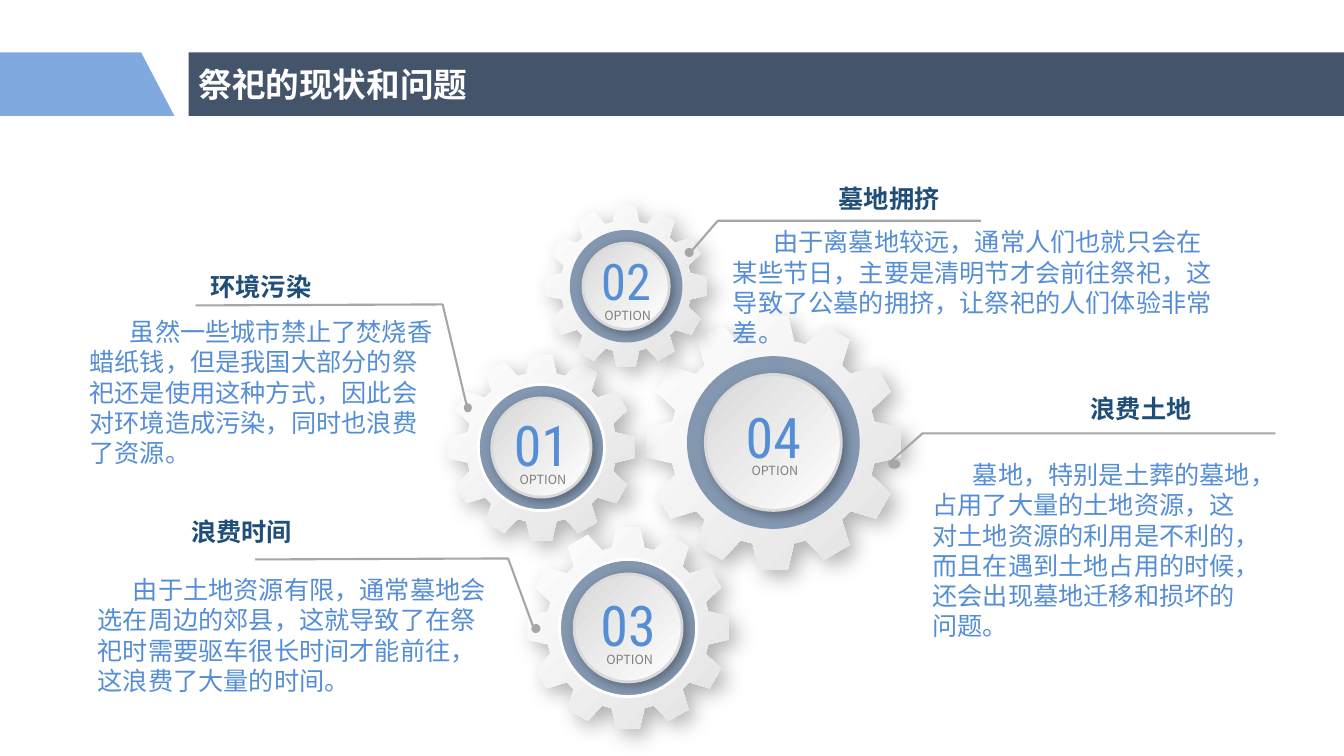
"""Build the slide on the state and problems of ancestor worship: four gears with callouts."""
import math
from dataclasses import dataclass

import lxml.etree
import pptx
import pptx.dml.color
import pptx.enum.shapes
import pptx.enum.text
import pptx.oxml.ns
import pptx.shapes.autoshape
import pptx.shapes.shapetree
import pptx.util

Inches, Pt, qn = pptx.util.Inches, pptx.util.Pt, pptx.oxml.ns.qn
RGB = pptx.dml.color.RGBColor.from_string
MSO, ALIGN = pptx.enum.shapes.MSO_SHAPE, pptx.enum.text.PP_ALIGN
Shape = pptx.shapes.autoshape.Shape
Shapes = pptx.shapes.shapetree._BaseGroupShapes
Point = tuple[float, float]
Box = tuple[float, float, float, float]


@dataclass(frozen=True)
class Theme:
    """Colours, fonts and type sizes."""
    white: str = "FFFFFF"
    gear_shade: str = "E2E2E2"
    rim: str = "D9D9D9"
    ring: str = "8497B0"
    leader: str = "A6A6A6"
    accent: str = "538CD5"
    body: str = "558ED5"
    heading: str = "1F4E79"
    option: str = "7F7F7F"
    bar: str = "44546A"
    font: str = "Noto Sans CJK SC"
    number_font: str = "Roboto Condensed"
    title_pt: int = 24
    text_pt: int = 18
    option_pt: int = 9


@dataclass(frozen=True)
class Gear:
    """A numbered gear wheel."""
    number: str
    center: Point
    radius: float
    number_top: float
    option_top: float
    ring_line: str | None
    number_pt: int = 40


@dataclass(frozen=True)
class Callout:
    """A heading and paragraph led to a gear by a bent line."""
    heading: str
    heading_box: Box
    text: str
    text_box: Box
    dot: Box
    leader: tuple[Point, ...]
    indent: float = 0.4


T = Theme()

GEARS = [
    Gear("04", (7.67, 4.39), 1.26, 3.94, 4.47, None),
    Gear("01", (5.37, 4.44), 0.92, 4.02, 4.56, T.white),
    Gear("02", (6.21, 2.84), 0.8, 2.43, 2.93, T.ring, 36),
    Gear("03", (6.23, 6.23), 1, 5.81, 6.34, T.white),
]

CALLOUTS = [
    Callout("墓地拥挤", (8.22, 1.77, 1.43, 0.71),
            "由于离墓地较远，通常人们也就只会在某些节日，主要是清明节才会前往祭祀，这导致了公墓的拥挤，让祭祀的人们体验非常差。",
            (7.17, 2.2, 4.95, 1.31), (6.79, 2.46, 0.09, 0.09),
            ((6.86, 2.49), (7.12, 2.19), (9.73, 2.19))),
    Callout("浪费土地", (10.72, 3.85, 1.4, 0.4),
            "墓地，特别是土葬的墓地，占用了大量的土地资源，这对土地资源的利用是不利的，而且在遇到土地占用的时候，还会出现墓地迁移和损坏的问题。",
            (9.15, 4.51, 3.39, 1.92), (8.81, 4.56, 0.12, 0.09),
            ((8.81, 4.6), (9.15, 4.3), (12.65, 4.3))),
    Callout("环境污染", (1.99, 2.64, 2.46, 0.4),
            "虽然一些城市禁止了焚烧香蜡纸钱，但是我国大部分的祭祀还是使用这种方式，因此会对环境造成污染，同时也浪费了资源。",
            (0.79, 3.09, 3.67, 1.61), (4.6, 4, 0.08, 0.09),
            ((4.63, 4.03), (4.39, 3.02), (1.94, 3.03))),
    Callout("浪费时间", (1.8, 5.07, 2.47, 0.4),
            "由于土地资源有限，通常墓地会选在周边的郊县，这就导致了在祭祀时需要驱车很长时间才能前往，这浪费了大量的时间。",
            (0.87, 5.65, 4.16, 1.61), (5.27, 6.19, 0.09, 0.09),
            ((5.29, 6.22), (5.04, 5.54), (2.53, 5.55)), 0.35),
]


def style(sp: Shape, fill: str | tuple[str, str] | None, line: str | None = None,
          width: float = 2, shadow: tuple[float, float] | None = None) -> None:
    """Set a solid, gradient or empty fill, the outline and a (blur, distance) shadow."""
    if fill is None:
        sp.fill.background()
    elif isinstance(fill, str):
        sp.fill.solid()
        sp.fill.fore_color.rgb = RGB(fill)
    else:
        sp.fill.gradient()
        sp.fill.gradient_angle = 315
        for stop, color in zip(sp.fill.gradient_stops, fill):
            stop.color.rgb = RGB(color)
    if line:
        sp.line.color.rgb = RGB(line)
        sp.line.width = Pt(width)
    else:
        sp.line.fill.background()
    sp.shadow.inherit = False
    if shadow:
        effects = sp._element.spPr.find(qn("a:effectLst"))
        outer = lxml.etree.SubElement(effects, qn("a:outerShdw"), blurRad=str(Pt(shadow[0])),
                                      dist=str(Pt(shadow[1])), dir="2700000", algn="tl", rotWithShape="0")
        color = lxml.etree.SubElement(outer, qn("a:srgbClr"), val="000000")
        lxml.etree.SubElement(color, qn("a:alpha"), val="30000")


def add_shape(shapes: Shapes, kind: MSO, box: Box) -> Shape:
    """Add a preset shape at a box in inches."""
    return shapes.add_shape(kind, *map(Inches, box))


def add_outline(shapes: Shapes, points: list[Point], close: bool) -> Shape:
    """Add a freeform through points in inches."""
    start, *rest = [(Inches(x), Inches(y)) for x, y in points]
    fb = shapes.build_freeform(*start, scale=1.0)
    fb.add_line_segments(rest, close=close)
    return fb.convert_to_shape()


def set_text(sp: Shape, text: str, size: int, color: str, bold: bool = False,
             font: str = T.font, align: ALIGN = ALIGN.LEFT) -> None:
    """Write one formatted paragraph into a shape."""
    tf = sp.text_frame
    tf.text = text
    tf.word_wrap = True
    p = tf.paragraphs[0]
    p.alignment = align
    r = p.runs[0]
    r.font.size, r.font.bold, r.font.name = Pt(size), bold, font
    r.font.color.rgb = RGB(color)
    lxml.etree.SubElement(r._r.get_or_add_rPr(), qn("a:ea"), typeface=font)


def add_text(shapes: Shapes, box: Box, text: str, size: int, color: str, bold: bool = False,
             font: str = T.font, align: ALIGN = ALIGN.LEFT) -> Shape:
    """Add a text box that grows with its text."""
    sp = shapes.add_textbox(*map(Inches, box))
    set_text(sp, text, size, color, bold, font, align)
    sp.text_frame.auto_size = pptx.enum.text.MSO_AUTO_SIZE.SHAPE_TO_FIT_TEXT
    return sp


def gear_points(center: Point, radius: float, teeth: int = 12) -> list[Point]:
    """Turn one tooth profile around the center."""
    profile = ((-0.163, 0.795), (-0.115, 1), (0.115, 1), (0.163, 0.795))
    points = []
    for i in range(teeth):
        a = math.tau * i / teeth
        for x, y in profile:
            points.append((center[0] + radius * (x * math.cos(a) + y * math.sin(a)),
                           center[1] + radius * (x * math.sin(a) - y * math.cos(a))))
    return points


def draw_gear(shapes: Shapes, gear: Gear) -> None:
    """Draw a gear with its ring, disc, number and caption."""
    x, y = gear.center

    def add_circle(d: float) -> Shape:
        return add_shape(shapes, MSO.OVAL, (x - d / 2, y - d / 2, d, d))

    style(add_outline(shapes, gear_points(gear.center, gear.radius), True),
          (T.white, T.gear_shade), shadow=(15, 7))
    style(add_circle(1.36 * gear.radius), T.ring, gear.ring_line)
    style(add_circle(1.07 * gear.radius), (T.rim, T.white), T.rim, shadow=(7, 3))
    add_text(shapes, (x - 0.55, gear.number_top, 1.1, 0.77), gear.number, gear.number_pt,
             T.body, font=T.number_font, align=ALIGN.CENTER)
    sp = add_text(shapes, (x - 0.39, gear.option_top, 0.81, 0.31), "OPTION", T.option_pt,
                  T.option, align=ALIGN.CENTER)
    sp.text_frame.paragraphs[0].line_spacing = 1.5


def draw_callout(shapes: Shapes, callout: Callout) -> None:
    """Draw a callout's dot, leader, paragraph and heading."""
    style(add_shape(shapes, MSO.OVAL, callout.dot), T.leader)
    style(add_outline(shapes, list(callout.leader), False), None, T.leader, 1.5)
    sp = add_text(shapes, callout.text_box, callout.text, T.text_pt, T.body)
    sp.text_frame.paragraphs[0]._p.get_or_add_pPr().set("indent", str(Inches(callout.indent)))
    add_text(shapes, callout.heading_box, callout.heading, T.text_pt, T.heading, True)


def draw_header(shapes: Shapes) -> None:
    """Draw the title bar and its slanted tab."""
    top, height = 0.52, 0.63
    for kind, left, width in ((MSO.RECTANGLE, 0, 1.4), (MSO.RIGHT_TRIANGLE, 1.4, 0.33)):
        sp = add_shape(shapes, kind, (left, top, width, height))
        style(sp, T.accent)
        color = sp._element.spPr.find(qn("a:solidFill"))[0]
        lxml.etree.SubElement(color, qn("a:alpha"), val="74000")
    sp = add_shape(shapes, MSO.RECTANGLE, (1.87, top, 11.46, height))
    style(sp, T.bar)
    set_text(sp, "祭祀的现状和问题", T.title_pt, T.white, True)
    sp.text_frame.vertical_anchor = pptx.enum.text.MSO_ANCHOR.MIDDLE


def main() -> None:
    """Build and save the slide."""
    prs = pptx.Presentation()
    prs.slide_width, prs.slide_height = Inches(13.33), Inches(7.5)
    s = prs.slides.add_slide(prs.slide_layouts[6])
    for gear in GEARS:
        draw_gear(s.shapes.add_group_shape().shapes, gear)
    for callout in CALLOUTS:
        draw_callout(s.shapes.add_group_shape().shapes, callout)
    draw_header(s.shapes.add_group_shape().shapes)
    prs.save("out.pptx")


if __name__ == "__main__":
    main()
